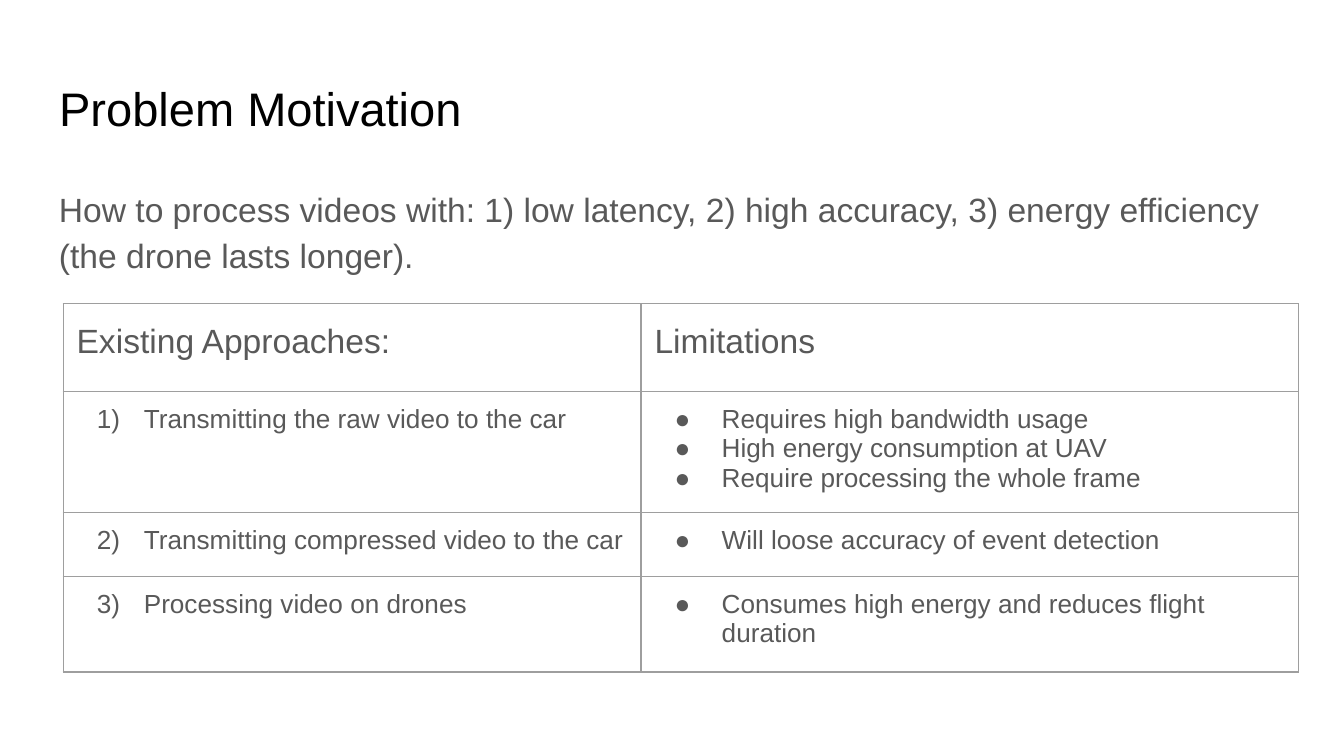
from lxml import etree
from pptx import Presentation
from pptx.dml.color import RGBColor
from pptx.enum.text import MSO_ANCHOR, PP_ALIGN
from pptx.oxml.ns import qn
from pptx.util import Inches, Pt

TOP, MIDDLE = MSO_ANCHOR.TOP, MSO_ANCHOR.MIDDLE
LEFT = PP_ALIGN.LEFT
WIDTH = 10
HEIGHT = WIDTH * 9 / 16
MARGIN, INSET = 0.34, 0.1
FONT = "Arial"
COLORS = {"title": "000000", "body": "595959", "border": "9E9E9E"}
COLUMNS = [4.3, 4.89]
ROWS = [0.65, 0.9, 0.47, 0.71]
HEADINGS = ["Existing Approaches:", "Limitations"]
APPROACHES = [
    ("Transmitting the raw video to the car",
     ["Requires high bandwidth usage", "High energy consumption at UAV",
      "Require processing the whole frame"]),
    ("Transmitting compressed video to the car",
     ["Will loose accuracy of event detection"]),
    ("Processing video on drones",
     ["Consumes high energy and reduces flight duration"]),
]


def add_marker(paragraph, number=None):
    properties = paragraph._p.get_or_add_pPr()
    properties.set("marL", str(Inches(0.5)))
    properties.set("indent", str(Inches(-0.35)))
    marker_color = etree.SubElement(properties, qn("a:buClr"))
    etree.SubElement(marker_color, qn("a:srgbClr"), val=COLORS["body"])
    etree.SubElement(properties, qn("a:buFont"), typeface=FONT)
    if number:
        etree.SubElement(properties, qn("a:buAutoNum"),
                         type="arabicParenR", startAt=str(number))
    else:
        etree.SubElement(properties, qn("a:buChar"), char="●")


def write(frame, lines, size=14, color="body", spacing=1.0,
          bulleted=False, number=None):
    for index, line in enumerate(lines):
        paragraph = frame.add_paragraph() if index else frame.paragraphs[0]
        if bulleted or number:
            add_marker(paragraph, number)
        paragraph.alignment = LEFT
        paragraph.line_spacing = spacing
        paragraph.space_before = paragraph.space_after = Pt(0)
        run = paragraph.add_run()
        run.text = line
        run.font.name = FONT
        run.font.size = Pt(size)
        run.font.color.rgb = RGBColor.from_string(COLORS[color])


def set_insets(holder):
    holder.margin_left = holder.margin_right = Inches(INSET)
    holder.margin_top = holder.margin_bottom = Inches(INSET)


def place_title(title, box):
    title.left, title.top, title.width, title.height = map(Inches, box)
    frame = title.text_frame
    set_insets(frame)
    frame.word_wrap = True
    frame.vertical_anchor = MIDDLE
    write(frame, ["Problem Motivation"], size=25.2, color="title")


def add_question(slide, box):
    frame = slide.shapes.add_textbox(*map(Inches, box)).text_frame
    set_insets(frame)
    frame.word_wrap = True
    frame.vertical_anchor = TOP
    write(frame, ["How to process videos with: 1) low latency, 2) high accuracy, "
                  "3) energy efficiency (the drone lasts longer)."],
          size=18, spacing=1.15)


def style_cell(cell):
    set_insets(cell)
    cell.vertical_anchor = TOP
    cell.fill.background()
    properties = cell._tc.get_or_add_tcPr()
    for position, side in enumerate(("lnL", "lnR", "lnT", "lnB")):
        border = etree.Element(qn(f"a:{side}"), w=str(Pt(0.75)))
        fill = etree.SubElement(border, qn("a:solidFill"))
        etree.SubElement(fill, qn("a:srgbClr"), val=COLORS["border"])
        properties.insert(position, border)


def add_comparison(slide, box):
    table = slide.shapes.add_table(len(ROWS), len(COLUMNS),
                                   *map(Inches, box)).table
    table.first_row = table.horz_banding = False
    for column, share in zip(table.columns, COLUMNS):
        column.width = Inches(box[2] * share / sum(COLUMNS))
    for row, share in zip(table.rows, ROWS):
        row.height = Inches(box[3] * share / sum(ROWS))
    for cell in table.iter_cells():
        style_cell(cell)
    for index, heading in enumerate(HEADINGS):
        write(table.cell(0, index).text_frame, [heading], size=18, spacing=1.15)
    for number, (approach, limitations) in enumerate(APPROACHES, 1):
        write(table.cell(number, 0).text_frame, [approach], number=number)
        write(table.cell(number, 1).text_frame, limitations, bulleted=True)


def main():
    deck = Presentation()
    deck.slide_width, deck.slide_height = Inches(WIDTH), Inches(HEIGHT)
    slide = deck.slides.add_slide(deck.slide_layouts[5])
    content_width = WIDTH - 2 * MARGIN
    place_title(slide.shapes.title, (MARGIN, 0.49, content_width, 0.63))
    add_question(slide, (MARGIN, 1.26, content_width, 3.74))
    add_comparison(slide, (0.47, 2.26, sum(COLUMNS), 2.74))
    deck.save("out.pptx")


if __name__ == "__main__":
    main()
